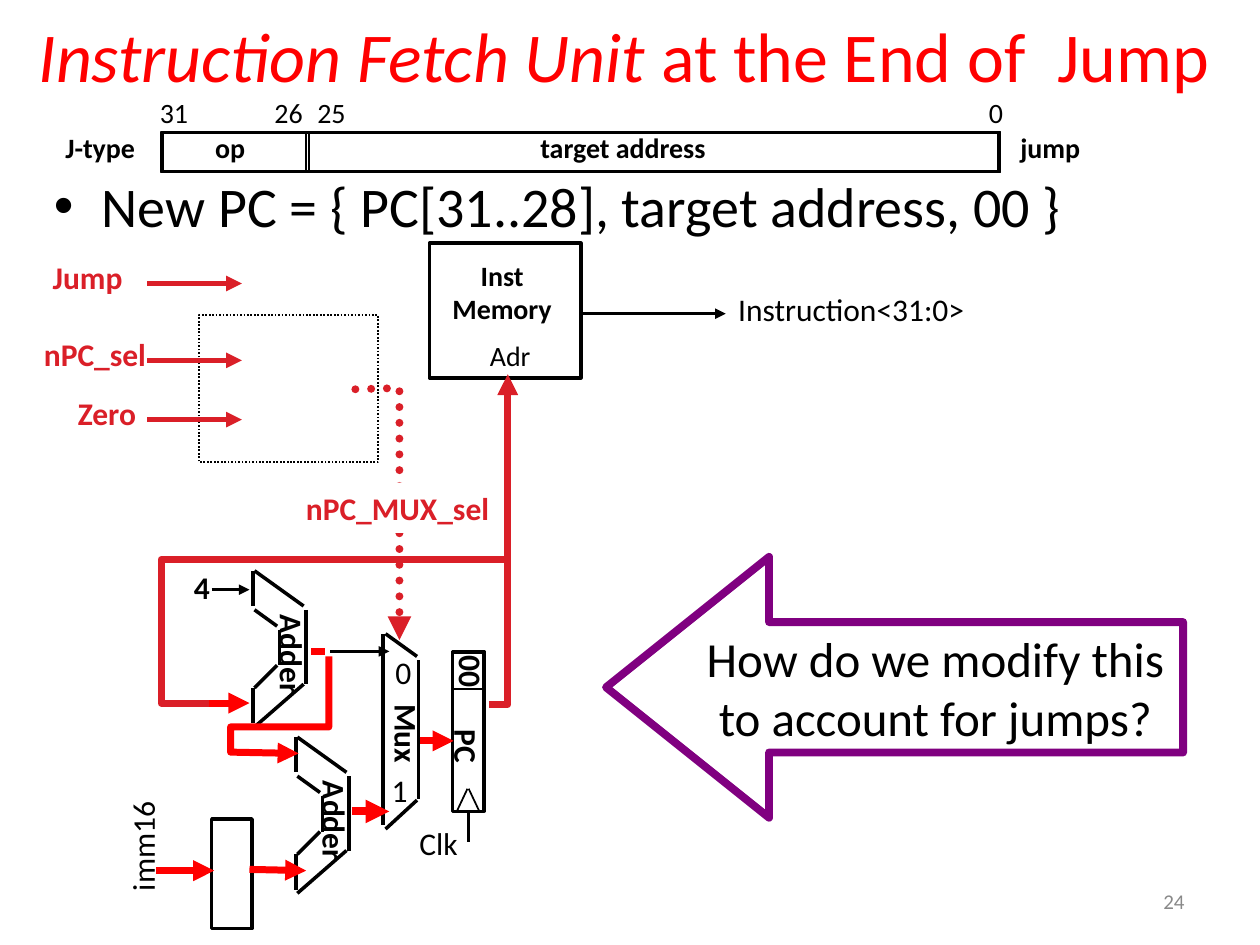
import pptx
import pptx.util
import pptx.dml.color
import pptx.enum.dml
import pptx.enum.shapes
import pptx.enum.text
import pptx.oxml
import pptx.oxml.ns
from pptx.util import Inches

INK = {"black": "000000", "red": "FF0000", "rose": "DA1F28",
       "plum": "800080", "white": "FFFFFF", "grey": "898989"}
ALIGN = pptx.enum.text.PP_ALIGN
ANCHOR = pptx.enum.text.MSO_ANCHOR
SHAPE = pptx.enum.shapes.MSO_SHAPE


def color(name):
    return pptx.dml.color.RGBColor.from_string(INK[name])


def add_xml(parent, tag, **attrs):
    node = pptx.oxml.parse_xml(f"<a:{tag} {pptx.oxml.ns.nsdecls('a')}/>")
    for key, val in attrs.items():
        node.set(key, val)
    parent.append(node)


def write(frame, text, size=18, ink="black", bold=False, align=ALIGN.LEFT,
          anchor=ANCHOR.TOP, wrap=False, lead=""):
    """Fill a text frame, one paragraph a line; lead is an italic opening."""
    frame.auto_size = pptx.enum.text.MSO_AUTO_SIZE.NONE
    frame.word_wrap = wrap
    frame.vertical_anchor = anchor
    frame.text = text
    for par in frame.paragraphs:
        par.alignment = align
        if lead:
            par.text = lead
            par.add_run().text = text
            par.runs[0].font.italic = True
        for run in par.runs:
            font = run.font
            font.name = "Calibri"
            font.size = pptx.util.Pt(size)
            font.bold = bold
            font.color.rgb = color(ink)


class Board:
    """Holds the line style and the slide being drawn."""

    def __init__(self, slide, ink="black", width=2):
        self.slide = slide
        self.shapes = slide.shapes
        self.ink = ink
        self.width = width

    def stroke(self, shape, ink=None, width=None, dots=False, head=False,
               tail=False, cap=None, bend=False):
        line = shape.line
        line.color.rgb = color(ink or self.ink)
        line.width = pptx.util.Pt(width or self.width)
        if dots:
            line.dash_style = pptx.enum.dml.MSO_LINE.ROUND_DOT
        node = shape._element.spPr.find(pptx.oxml.ns.qn("a:ln"))
        if cap:
            node.set("cap", cap)
        if bend:
            add_xml(node, "round")
        for tag, wanted in (("headEnd", head), ("tailEnd", tail)):
            if wanted:
                add_xml(node, tag, type="triangle")

    def title(self, box, text, **fmt):
        hold = self.shapes.title
        hold.left, hold.top, hold.width, hold.height = map(Inches, box)
        write(hold.text_frame, text, **fmt)

    def text(self, x, y, w, text, h=0.4, turn=0, fill=None, **fmt):
        box = self.shapes.add_textbox(*map(Inches, (x, y, w, h)))
        box.rotation = turn
        if fill:
            box.fill.solid()
            box.fill.fore_color.rgb = color(fill)
        write(box.text_frame, text, **fmt)
        return box

    def bullet(self, x, y, w, text, h, **fmt):
        box = self.text(x, y, w, text, h=h, wrap=True, **fmt)
        props = box.text_frame.paragraphs[0]._p.get_or_add_pPr()
        props.set("marL", str(Inches(0.38)))
        props.set("indent", str(Inches(-0.38)))
        add_xml(props, "buFont", typeface="Arial")
        add_xml(props, "buChar", char="•")

    def block(self, x, y, w, h, kind=SHAPE.RECTANGLE, **style):
        box = self.shapes.add_shape(kind, *map(Inches, (x, y, w, h)))
        box.shadow.inherit = False
        box.fill.background()
        self.stroke(box, **style)
        return box

    def line(self, x1, y1, x2, y2, **style):
        kind = pptx.enum.shapes.MSO_CONNECTOR.STRAIGHT
        wire = self.shapes.add_connector(kind, *map(Inches, (x1, y1, x2, y2)))
        self.stroke(wire, **style)
        add_xml(wire._element.spPr, "effectLst")

    def route(self, *points, **style):
        """Open wire through the given points."""
        spots = [(Inches(x), Inches(y)) for x, y in points]
        maker = self.shapes.build_freeform(*spots[0])
        maker.add_line_segments(spots[1:], close=False)
        wire = maker.convert_to_shape()
        wire.shadow.inherit = False
        wire.fill.background()
        self.stroke(wire, bend=True, **style)

    def adder(self, x, y):
        for x1, y1, x2, y2 in (
                (0, 0, 0, 0.28), (0.01, 0, 0.4, 0.28),
                (0.01, 0.31, 0.19, 0.44), (0.21, 0.47, 0.21, 0.75),
                (0.42, 0.31, 0.42, 0.9), (0.01, 0.93, 0.19, 0.75),
                (0, 0.93, 0, 1.21), (0.01, 1.24, 0.4, 0.9)):
            self.line(x + x1, y + y1, x + x2, y + y2)
        self.text(x - 0.11, y + 0.47, 0.84, "Adder", turn=90, bold=True)


def draw_format(board):
    """Bit fields of the jump instruction."""
    board.block(1.29, 1.05, 6.64, 0.31)
    board.block(1.28, 1.05, 1.15, 0.32, width=1)
    board.block(2.45, 1.05, 5.49, 0.32, width=1)
    for x, w, label in ((0.42, 0.79, "J-type"), (1.61, 0.44, "op"),
                        (4.19, 1.55, "target address"), (8, 0.7, "jump")):
        board.text(x, 0.99, w, label, h=0.36, size=16, bold=True)
    for x, w, bit in ((1.17, 0.43, "31"), (2.08, 0.43, "26"),
                      (2.42, 0.43, "25"), (7.75, 0.31, "0")):
        board.text(x, 0.71, w, bit, h=0.37, size=16)


def draw_parts(board):
    """Memory, adders, mux, program counter and extender."""
    board.block(3.41, 1.93, 1.2, 1.07)
    board.text(3.79, 2.64, 0.53, "Adr", h=0.37, size=16)
    board.text(3.48, 2, 1.01, "Inst\nMemory", h=0.63, size=16, bold=True,
               align=ALIGN.CENTER)
    board.adder(2.01, 4.53)
    board.adder(2.35, 5.85)
    board.block(3.59, 5.17, 0.25, 1.27)
    board.block(3.6, 5.18, 0.24, 0.29, width=1)
    board.text(3.47, 5.73, 0.47, "PC", turn=90, bold=True)
    board.text(3.48, 5.13, 0.45, "00", turn=270, bold=True)
    board.text(3.23, 6.49, 0.51, "Clk")
    board.line(3.63, 6.43, 3.71, 6.26, width=1)
    board.line(3.72, 6.26, 3.8, 6.43, width=1)
    board.line(3.72, 6.43, 3.72, 6.68, width=1.5)
    for ends in ((3.04, 5.03, 3.04, 6.55), (3.06, 5.03, 3.31, 5.21),
                 (3.06, 6.58, 3.31, 6.35), (3.32, 5.24, 3.32, 6.34)):
        board.line(*ends)
    board.text(2.88, 5.64, 0.7, "Mux", turn=90, bold=True)
    board.text(3.04, 5.13, 0.33, "0")
    board.text(3.01, 6.07, 0.33, "1")
    board.block(1.68, 6.5, 0.32, 0.87)
    board.block(1.58, 2.5, 1.42, 1.17, width=1, dots=True)


def draw_wires(board):
    for ends in ((1.55, 5.58, 1.98, 5.58), (1.98, 6.9, 2.43, 6.91),
                 (3.33, 5.88, 3.6, 5.88), (1.24, 6.91, 1.7, 6.91)):
        board.line(*ends, ink="red", width=4, tail=True)
    board.line(2.79, 6.44, 3.09, 6.44, ink="red", width=4.5, tail=True)
    board.line(2.47, 5.17, 2.58, 5.17, ink="red", width=4)
    for ends in ((1.68, 4.68, 1.98, 4.68), (4.62, 2.49, 5.76, 2.49),
                 (2.62, 5.17, 3.09, 5.17)):
        board.line(*ends, tail=True)
    board.route((3.88, 5.59), (4.03, 5.59), (4.03, 2.97),
                ink="rose", width=4, tail=True)
    board.route((4.03, 4.44), (1.28, 4.44), (1.28, 5.58), (1.66, 5.58),
                ink="rose", width=4)
    board.route((2.37, 5.98), (1.83, 5.97), (1.83, 5.77), (2.61, 5.77),
                (2.61, 5.21), ink="red", width=4, head=True)
    board.route((2.82, 3.09), (3.17, 3.08), (3.17, 5.08), ink="rose",
                width=4.5, dots=True, cap="rnd", tail=True)
    board.text(1.44, 4.46, 0.33, "4", bold=True)
    board.text(0.67, 6.51, 0.92, "imm16", turn=270)
    board.text(5.76, 2.25, 2.01, "Instruction<31:0>")


def draw_controls(board):
    for x, y, w, label, level in ((0.32, 2, 0.76, "Jump", 2.25),
                                  (0.25, 2.61, 1.02, "nPC_sel", 2.86),
                                  (0.52, 3.08, 0.67, "Zero", 3.33)):
        board.text(x, y, w, label, ink="rose", bold=True)
        board.line(1.17, level, 1.92, level, ink="rose", width=3, tail=True)
    board.text(2.33, 3.83, 1.67, "nPC_MUX_sel", fill="white", ink="rose",
               bold=True)


def main():
    deck = pptx.Presentation()
    deck.slide_width, deck.slide_height = Inches(10), Inches(7.5)
    board = Board(deck.slides.add_slide(deck.slide_layouts[5]))
    board.title((0.12, 0.17, 9.66, 0.52), "at the End of  Jump",
                lead="Instruction Fetch Unit ", size=40, ink="red",
                align=ALIGN.CENTER, anchor=ANCHOR.MIDDLE, wrap=True)
    draw_parts(board)
    draw_wires(board)
    draw_controls(board)
    board.bullet(0.33, 1.31, 9.42, "New PC = { PC[31..28], target address, 00 }",
                 h=0.45, size=32)
    draw_format(board)
    arrow = board.block(4.81, 4.42, 4.58, 2.07, kind=SHAPE.LEFT_ARROW,
                        ink="plum", width=4.5)
    arrow.adjustments[0], arrow.adjustments[1] = 0.5, 0.625
    write(arrow.text_frame, "How do we modify this\vto account for jumps?",
          size=28, align=ALIGN.CENTER, anchor=ANCHOR.MIDDLE)
    board.text(7.17, 6.95, 2.33, "24", size=12, ink="grey", wrap=True,
               align=ALIGN.RIGHT, anchor=ANCHOR.MIDDLE)
    deck.save("out.pptx")


if __name__ == "__main__":
    main()
